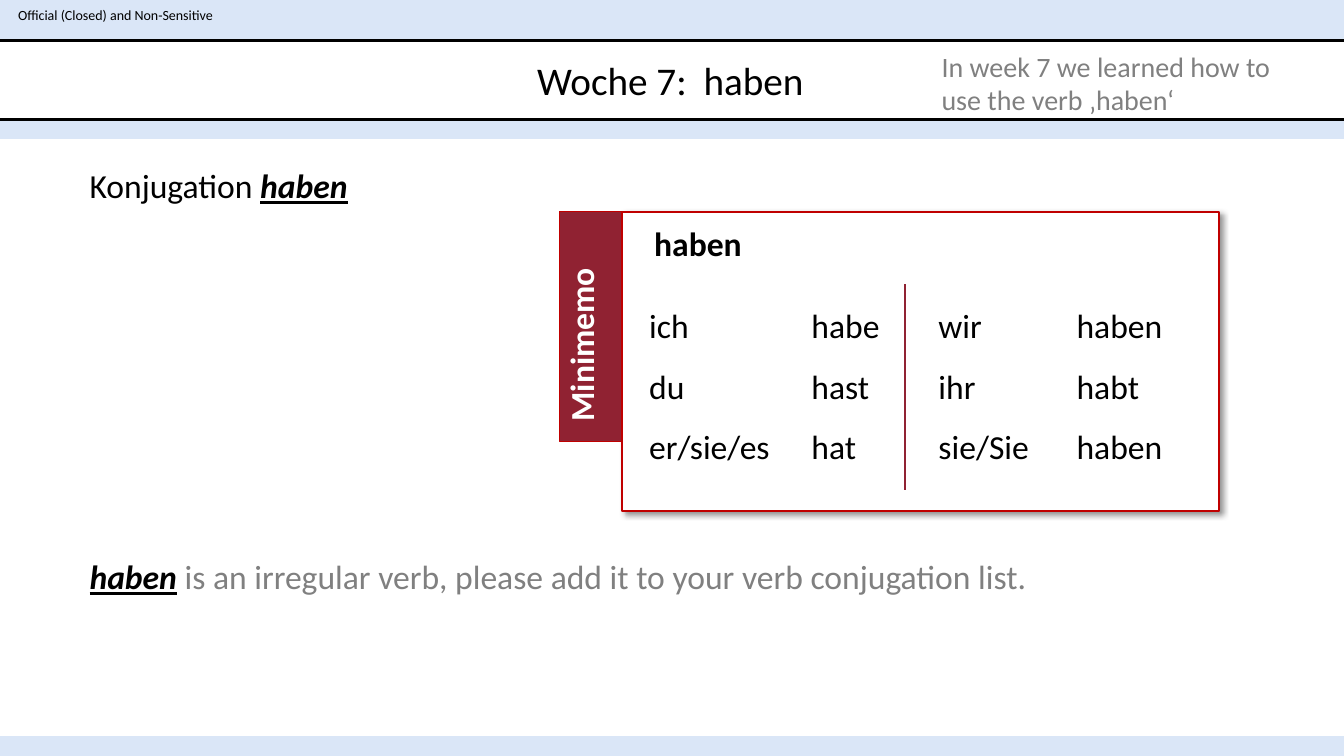
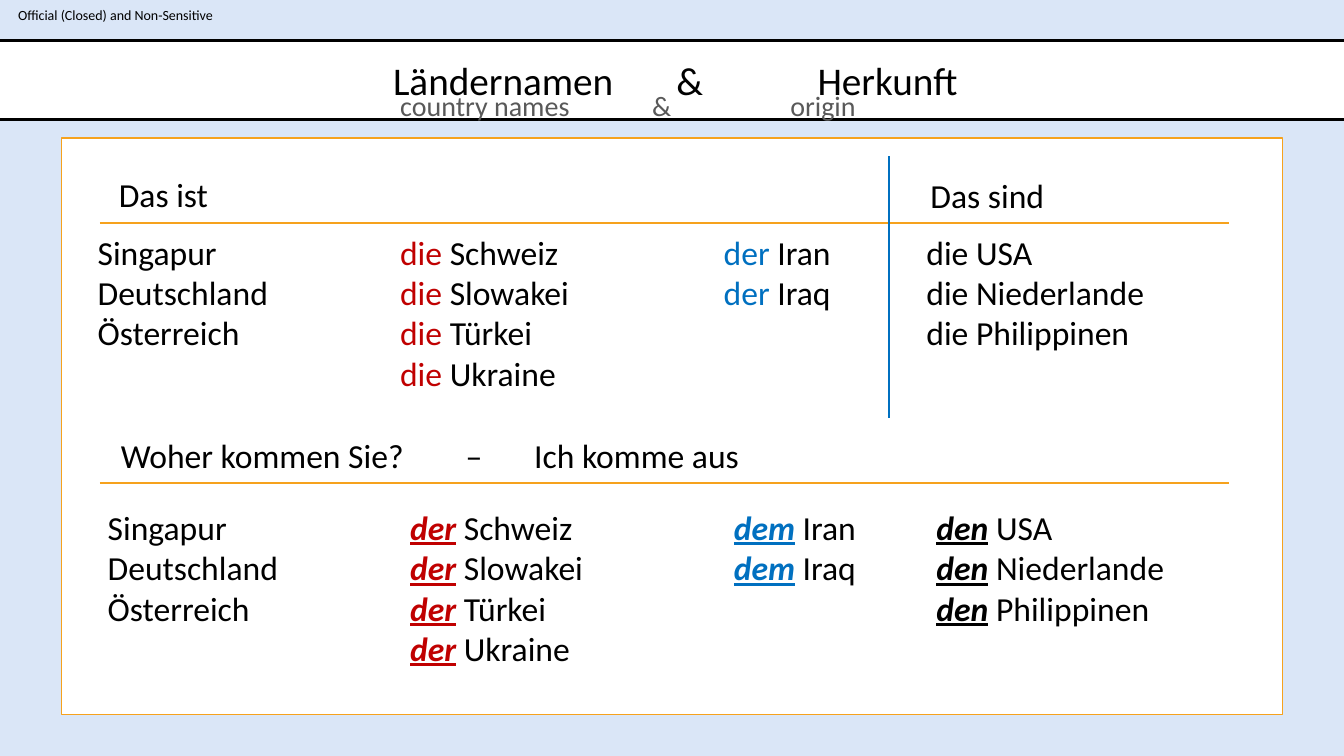
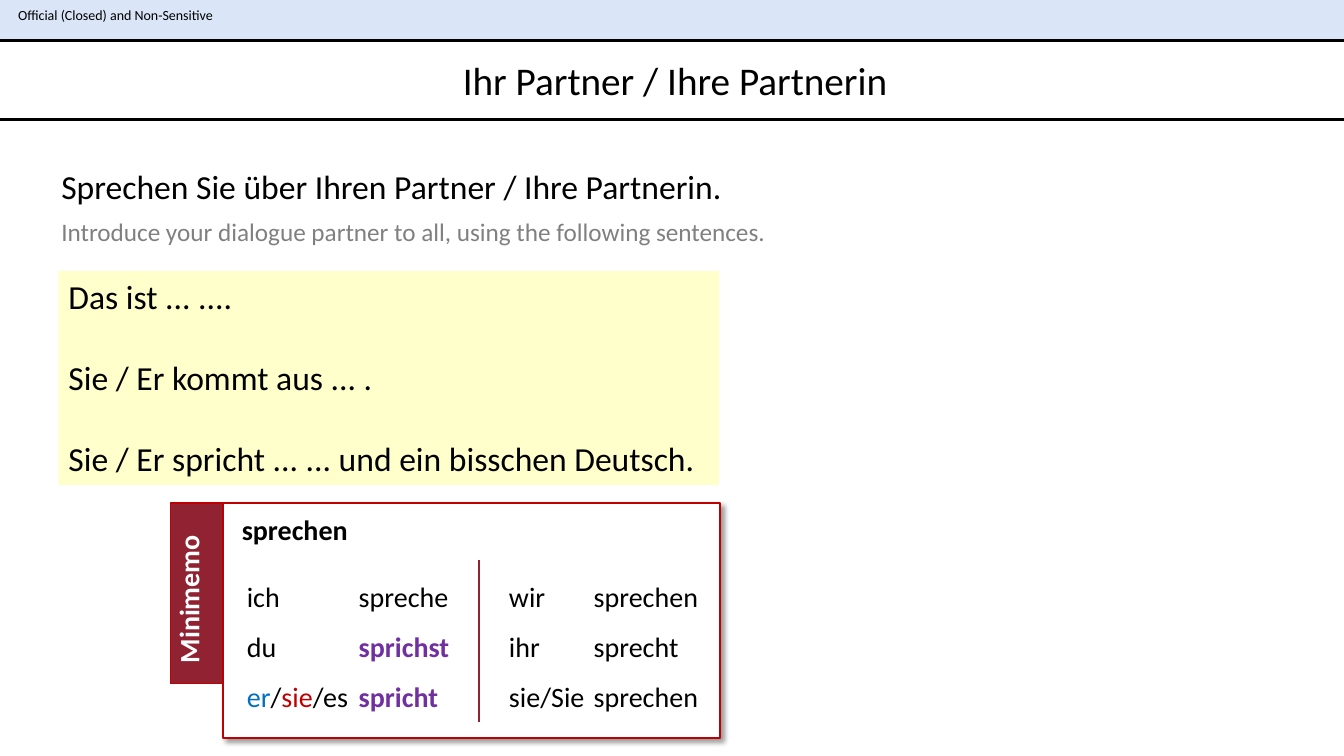
from lxml import etree
from pptx import Presentation
from pptx.dml.color import RGBColor
from pptx.enum.shapes import MSO_CONNECTOR, MSO_SHAPE
from pptx.enum.text import MSO_ANCHOR, PP_ALIGN
from pptx.oxml.ns import qn
from pptx.util import Inches, Pt

RECT = MSO_SHAPE.RECTANGLE
STRAIGHT = MSO_CONNECTOR.STRAIGHT
MIDDLE = MSO_ANCHOR.MIDDLE
CENTER = PP_ALIGN.CENTER

FONT = "Calibri"
COLORS = {
    "page": "DAE6F7", "white": "FFFFFF", "black": "000000", "grey": "808080",
    "dark_grey": "595959", "red": "C00000", "wine": "902232", "blue": "0070C0",
    "purple": "7030A0", "orange": "F6A21D", "yellow": "FFFFCC",
}
STYLES = {
    "plain": ("black", False, False),
    "bold": ("black", True, False),
    "key": ("black", True, True),
    "key_red": ("red", True, True),
    "key_blue": ("blue", True, True),
    "grey": ("grey", False, False),
    "dark_grey": ("dark_grey", False, False),
    "red": ("red", False, False),
    "blue": ("blue", False, False),
    "purple": ("purple", True, False),
    "white": ("white", True, False),
}

CLASSIFICATION = "Official (Closed) and Non-Sensitive"

HABEN = {
    "verb": "haben", "size": 24, "card": (6.17, 2.1, 5.92, 2.97),
    "tab": (0.62, 2.28), "heading": (0.22, 0.06), "rows_top": 0.68,
    "divider": (2.81, 0.72, 2.76),
    "columns": [
        (0.17, ["ich", "du", "er/sie/es"]),
        (1.78, ["habe", "hast", "hat"]),
        (3.04, ["wir", "ihr", "sie/Sie"]),
        (4.41, ["haben", "habt", "haben"]),
    ],
}
SPRECHEN = {
    "verb": "sprechen", "size": 20, "card": (2.21, 4.99, 4.93, 2.33),
    "tab": (0.52, 1.79), "heading": (0.09, 0.05), "rows_top": 0.54,
    "divider": (2.54, 0.57, 2.17),
    "columns": [
        (0.14, ["ich", "du", [("er", "blue"), ("/", "plain"),
                              ("sie", "red"), ("/es", "plain")]]),
        (1.25, ["spreche", [("sprichst", "purple")], [("spricht", "purple")]]),
        (2.74, ["wir", "ihr", "sie/Sie"]),
        (3.58, ["sprechen", "sprecht", "sprechen"]),
    ],
}

COUNTRIES = [
    (0.87, ["Singapur", "Deutschland", "Österreich"], None, None),
    (3.87, ["Schweiz", "Slowakei", "Türkei", "Ukraine"],
     ("die", "red"), ("der", "key_red")),
    (7.08, ["Iran", "Iraq"], ("der", "blue"), ("dem", "key_blue")),
    (9.09, ["USA", "Niederlande", "Philippinen"],
     ("die", "plain"), ("den", "key")),
]
HEADINGS = [
    (1.08, 1.68, "Das ist", ()),
    (9.13, 1.69, "Das sind", ()),
    (1.1, 4.27, "Woher kommen Sie?\t–\tIch komme aus", (3.42, 4.1)),
]
RULES = [
    (0.99, 2.21, 12.19, 2.21, "orange"),
    (0.99, 4.79, 12.19, 4.79, "orange"),
    (8.82, 1.55, 8.82, 4.15, "blue"),
]
SENTENCES = [
    "Das ist ... ....",
    "Sie / Er kommt aus ... .",
    "Sie / Er spricht ... ... und ein bisschen Deutsch.",
]


def rgb(name):
    return RGBColor.from_string(COLORS[name])


def write(shape, lines, size, style="plain", align=None, spacing=None,
          gap=0, tabs=()):
    frame = shape.text_frame
    frame.word_wrap = True
    for number, line in enumerate(lines):
        paragraph = frame.add_paragraph() if number else frame.paragraphs[0]
        paragraph.alignment = align or PP_ALIGN.LEFT
        if spacing:
            paragraph.line_spacing = spacing
        if gap and number:
            paragraph.space_before = Pt(gap)
        if tabs:
            stops = etree.SubElement(paragraph._p.get_or_add_pPr(), qn("a:tabLst"))
            for stop in tabs:
                etree.SubElement(stops, qn("a:tab"), pos=str(Inches(stop)), algn="l")
        for text, run_style in [(line, style)] if isinstance(line, str) else line:
            color, bold, emphasis = STYLES[run_style]
            run = paragraph.add_run()
            run.text = text
            run.font.name = FONT
            run.font.size = Pt(size)
            run.font.color.rgb = rgb(color)
            run.font.bold = bold
            run.font.italic = run.font.underline = emphasis


def add_text(slide, box, lines, size, **options):
    label = slide.shapes.add_textbox(*map(Inches, box))
    write(label, lines, size, **options)
    return label


def add_box(slide, box, fill, line=None, width=1):
    panel = slide.shapes.add_shape(RECT, *map(Inches, box))
    panel.shadow.inherit = False
    panel.fill.solid()
    panel.fill.fore_color.rgb = rgb(fill)
    if line:
        panel.line.color.rgb = rgb(line)
        panel.line.width = Pt(width)
    else:
        panel.line.fill.background()
    return panel


def add_rule(slide, x1, y1, x2, y2, color):
    rule = slide.shapes.add_connector(STRAIGHT, *map(Inches, (x1, y1, x2, y2)))
    rule.line.color.rgb = rgb(color)
    rule.line.width = Pt(1.5)
    etree.SubElement(rule._element.spPr, qn("a:effectLst"))


def cast_shadow(shape):
    effects = shape._element.spPr.find(qn("a:effectLst"))
    shadow = etree.SubElement(effects, qn("a:outerShdw"), blurRad=str(Pt(4)),
                              dist=str(Pt(3)), dir="2700000", algn="tl")
    color = etree.SubElement(shadow, qn("a:srgbClr"), val=COLORS["black"])
    etree.SubElement(color, qn("a:alpha"), val="40000")


def add_slide(deck, title, panel, panel_line=None, tabs=()):
    slide = deck.slides.add_slide(deck.slide_layouts[6])
    label = add_text(slide, (0, 0, 2.29, 0.29), [CLASSIFICATION], 10, align=CENTER)
    frame = label.text_frame
    frame.vertical_anchor = MIDDLE
    frame.margin_left = frame.margin_right = 0
    frame.margin_top = frame.margin_bottom = 0
    add_box(slide, panel, "white", panel_line)
    band = add_box(slide, (-0.13, 0.4, 13.65, 0.79), "white", "black", 2.25)
    band.text_frame.vertical_anchor = MIDDLE
    write(band, [title], 28, align=None if tabs else CENTER, tabs=tabs)
    return slide


def add_minimemo(slide, memo):
    left, top, width, height = memo["card"]
    tab_width, tab_height = memo["tab"]
    size = memo["size"]
    cast_shadow(add_box(slide, memo["card"], "white", "red", 1.5))
    add_box(slide, (left - tab_width, top, tab_width, tab_height), "wine", "red")
    label = add_text(
        slide, (left - tab_width - 0.04, top + 0.06, tab_width, tab_height - 0.16),
        ["Minimemo"], size, style="white")
    label.text_frame._txBody.bodyPr.set("vert", "vert270")
    dx, dy = memo["heading"]
    add_text(slide, (left + dx, top + dy, 2, 0.5), [memo["verb"]], size, style="bold")
    rows_top = memo["rows_top"]
    for dx, forms in memo["columns"]:
        add_text(slide, (left + dx, top + rows_top, 1.4, height - rows_top - 0.3),
                 forms, size, spacing=1.5)
    dx, start, end = memo["divider"]
    add_rule(slide, left + dx, top + start, left + dx, top + end, "wine")


def add_countries(slide, top, shift, case):
    for left, names, *articles in COUNTRIES:
        article = articles[case]
        lines = [[article, (" " + name, "plain")] if article else name
                 for name in names]
        add_text(slide, (left + shift, top, 3, 0.1 + 0.4 * len(names)), lines, 24)


def build_haben(deck):
    slide = add_slide(deck, "\tWoche 7:\thaben", (0, 1.38, 13.33, 5.92),
                      tabs=(5.36, 7.01))
    add_text(slide, (0.79, 1.59, 6.19, 0.5),
             [[("Konjugation ", "plain"), ("haben", "key")]], 24)
    add_minimemo(slide, HABEN)
    add_text(slide, (0.79, 5.47, 12.13, 0.5), [[
        ("haben", "key"),
        (" is an irregular verb, please add it to your verb conjugation list.", "grey"),
    ]], 24)
    add_text(slide, (9.24, 0.44, 3.67, 0.77),
             ["In week 7 we learned how to use the verb ‚haben‘"], 20, style="grey")


def build_countries(deck):
    slide = add_slide(deck, "\tLändernamen\t&\tHerkunft", (0.61, 1.37, 12.11, 5.72),
                      "orange", tabs=(3.93, 6.74, 8.14))
    add_text(slide, (3.87, 0.83, 6.01, 0.44), ["country names\t&\torigin"], 20,
             style="dark_grey", tabs=(2.5, 3.87))
    for left, top, heading, tabs in HEADINGS:
        add_text(slide, (left, top, 9.25 if tabs else 3.19, 0.5), [heading], 24,
                 tabs=tabs)
    add_countries(slide, 2.25, 0, 0)
    add_countries(slide, 4.98, 0.1, 1)
    for rule in RULES:
        add_rule(slide, *rule)


def build_partner(deck):
    slide = add_slide(deck, "Ihr Partner / Ihre Partnerin", (0, 1.12, 13.33, 6.38))
    add_text(slide, (0.51, 1.6, 8.63, 0.5),
             ["Sprechen Sie über Ihren Partner / Ihre Partnerin."], 24)
    add_text(slide, (0.51, 2.1, 8.63, 0.4),
             ["Introduce your dialogue partner to all, using the following sentences."],
             18, style="grey")
    prompt = add_box(slide, (0.58, 2.69, 6.55, 2.12), "yellow")
    prompt.text_frame.vertical_anchor = MSO_ANCHOR.TOP
    write(prompt, SENTENCES, 24, gap=29)
    add_minimemo(slide, SPRECHEN)


def main():
    deck = Presentation()
    deck.slide_width, deck.slide_height = Inches(13.33), Inches(7.5)
    background = deck.slide_master.background.fill
    background.solid()
    background.fore_color.rgb = rgb("page")
    build_haben(deck)
    build_countries(deck)
    build_partner(deck)
    deck.save("out.pptx")


if __name__ == "__main__":
    main()
